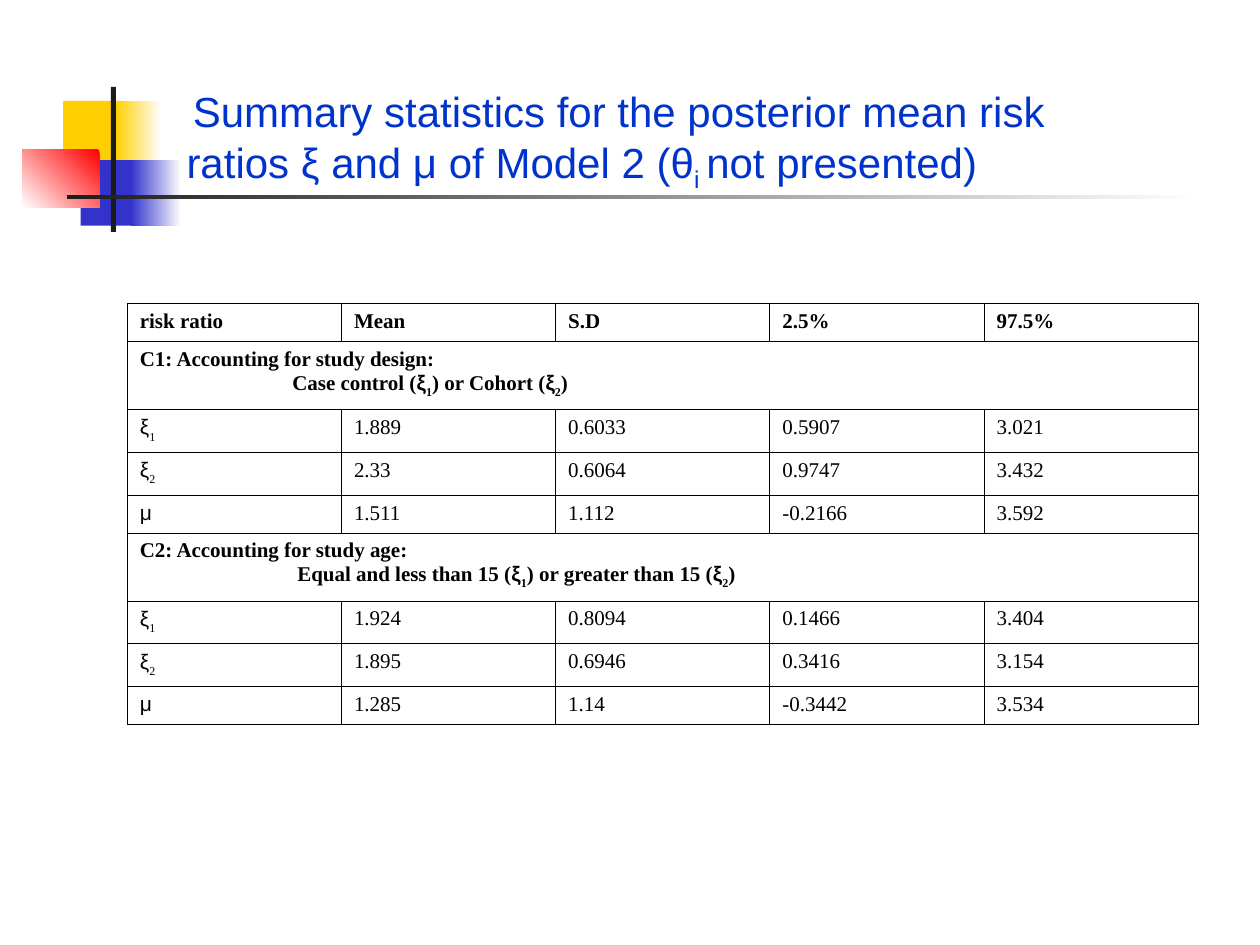
"""Build the slide of posterior mean risk ratio statistics for Model 2."""
import pptx
import pptx.dml.color
import pptx.enum.shapes
import pptx.enum.text
import pptx.oxml
import pptx.oxml.ns
import pptx.util

Inches, Pt = pptx.util.Inches, pptx.util.Pt
COLORS = {"yellow": "FFCF01", "blue": "3333CC", "red": "FF0000", "dark": "1C1C1C",
          "white": "FFFFFF", "title": "0033CC", "text": "000000"}
SERIF, SANS = "Times New Roman", "Arial"

TITLE = [
    (0.14, [("Summary statistics for the posterior mean risk", "")]),
    (0.09, [("ratios ξ and μ of Model 2 (θ", ""), ("i ", "sub"), ("not presented)", "")]),
]
XI_1 = [("ξ", "greek"), ("1", "sub")]
XI_2 = [("ξ", "greek"), ("2", "sub")]
MU = [("μ", "greek")]
HEADER = ["risk ratio", "Mean", "S.D", "2.5%", "97.5%"]
SECTIONS = [
    {"heading": "C1: Accounting for study design:", "indent": 1.21,
     "groups": ["Case control (", ") or Cohort ("],
     "rows": [(XI_1, "1.889", "0.6033", "0.5907", "3.021"),
              (XI_2, "2.33", "0.6064", "0.9747", "3.432"),
              (MU, "1.511", "1.112", "-0.2166", "3.592")]},
    {"heading": "C2: Accounting for study age:", "indent": 1.25,
     "groups": ["Equal and less than 15 (", ") or greater than 15 ("],
     "rows": [(XI_1, "1.924", "0.8094", "0.1466", "3.404"),
              (XI_2, "1.895", "0.6946", "0.3416", "3.154"),
              (MU, "1.285", "1.14", "-0.3442", "3.534")]},
]
ORNAMENTS = [
    ((0.5, 0.8, 0.48, 0.52), ["yellow"], 0),
    ((0.92, 0.8, 0.36, 0.52), ["white", "yellow"], 180),
    ((0.64, 1.27, 0.46, 0.52), ["blue"], 0),
    ((1.04, 1.27, 0.4, 0.52), ["white", "blue"], 180),
    ((0.18, 1.19, 0.61, 0.46), ["red", "white"], 225),
    ((0.88, 0.69, 0.04, 1.15), ["dark"], 0),
    ((0.53, 1.55, 9, 0.03), ["white", "dark"], 180),
]
TABLE_LEFT, TABLE_TOP, COLUMN_WIDTH = 1.01, 2.41, 1.7
HEADER_HEIGHT, HEADING_HEIGHT, VALUE_HEIGHTS = 0.3, 0.54, [0.34, 0.34, 0.3]
BORDER_WIDTH = 0.45


def rgb(name):
    return pptx.dml.color.RGBColor.from_string(COLORS[name])


def write_para(para, spans, color, indent=0, lowering=-30, **formats):
    para.alignment = pptx.enum.text.PP_ALIGN.LEFT
    properties = para._p.get_or_add_pPr()
    properties.set("marL", str(Inches(indent)))
    properties.set("indent", "0")
    for text, kind in spans:
        span = para.add_run()
        span.text = text
        values = dict(formats, name=SANS) if kind == "greek" else formats
        for key, value in values.items():
            setattr(span.font, key, value)
        span.font.color.rgb = rgb(color)
        if kind == "sub":
            span.font._element.set("baseline", str(lowering * 1000))


def add_ornament(page, place, names, angle):
    box = page.shapes.add_shape(pptx.enum.shapes.MSO_SHAPE.RECTANGLE, *map(Inches, place))
    box.shadow.inherit = False
    box.line.fill.background()
    if len(names) == 1:
        box.fill.solid()
        box.fill.fore_color.rgb = rgb(names[0])
        return
    box.fill.gradient()
    box.fill.gradient_angle = angle
    for stop, name, position in zip(box.fill.gradient_stops, names, (0, 1)):
        stop.color.rgb = rgb(name)
        stop.position = position


def write_title(page):
    title = page.shapes.title
    formats = {"left": Inches(1.29), "top": Inches(0.63),
               "width": Inches(7.19), "height": Inches(0.96)}
    for key, value in formats.items():
        setattr(title, key, value)
    frame = title.text_frame
    frame.auto_size = pptx.enum.text.MSO_AUTO_SIZE.NONE
    frame.vertical_anchor = pptx.enum.text.MSO_ANCHOR.MIDDLE
    frame.word_wrap = True
    for index, (indent, spans) in enumerate(TITLE):
        para = frame.add_paragraph() if index else frame.paragraphs[0]
        write_para(para, spans, "title", indent, -25, name=SANS, size=Pt(24))
    title.element.getparent().append(title.element)


def format_cell(cell):
    properties = cell._tc.get_or_add_tcPr()
    for side in ("lnL", "lnR", "lnT", "lnB"):
        properties.append(pptx.oxml.parse_xml(
            f'<a:{side} {pptx.oxml.ns.nsdecls("a")} w="{Pt(BORDER_WIDTH)}"><a:solidFill>'
            f'<a:srgbClr val="{COLORS["text"]}"/></a:solidFill></a:{side}>'))
    cell.fill.background()


def write_cell(cell, lines, bold=False):
    for index, (indent, spans) in enumerate(lines):
        para = cell.text_frame.add_paragraph() if index else cell.text_frame.paragraphs[0]
        write_para(para, spans, "text", indent, name=SERIF, size=Pt(12), bold=bold)


def write_values(table, row, values, bold=False):
    for column, value in enumerate(values):
        spans = [(value, "")] if isinstance(value, str) else value
        write_cell(table.cell(row, column), [(0, spans)], bold)


def add_statistics(page):
    heights = [HEADER_HEIGHT] + [HEADING_HEIGHT, *VALUE_HEIGHTS] * len(SECTIONS)
    count = len(HEADER)
    place = (TABLE_LEFT, TABLE_TOP, COLUMN_WIDTH * count, sum(heights))
    table = page.shapes.add_table(len(heights), count, *map(Inches, place)).table
    table.first_row = table.horz_banding = False
    for column in table.columns:
        column.width = Inches(COLUMN_WIDTH)
    for row, height in zip(table.rows, heights):
        row.height = Inches(height)
        for cell in row.cells:
            format_cell(cell)
    write_values(table, 0, HEADER, bold=True)
    for number, section in enumerate(SECTIONS):
        top = 1 + number * (1 + len(VALUE_HEIGHTS))
        heading = table.cell(top, 0)
        heading.merge(table.cell(top, count - 1))
        first, second = section["groups"]
        groups = [(first, ""), *XI_1, (second, ""), *XI_2, (")", "")]
        lines = [(0, [(section["heading"], "")]), (section["indent"], groups)]
        write_cell(heading, lines, bold=True)
        for row, values in enumerate(section["rows"], top + 1):
            write_values(table, row, values)


def main():
    deck = pptx.Presentation()
    deck.slide_width, deck.slide_height = Inches(10), Inches(7.5)
    page = deck.slides.add_slide(deck.slide_layouts.get_by_name("Title Only"))
    for place, names, angle in ORNAMENTS:
        add_ornament(page, place, names, angle)
    add_statistics(page)
    write_title(page)
    deck.save("out.pptx")


if __name__ == "__main__":
    main()
